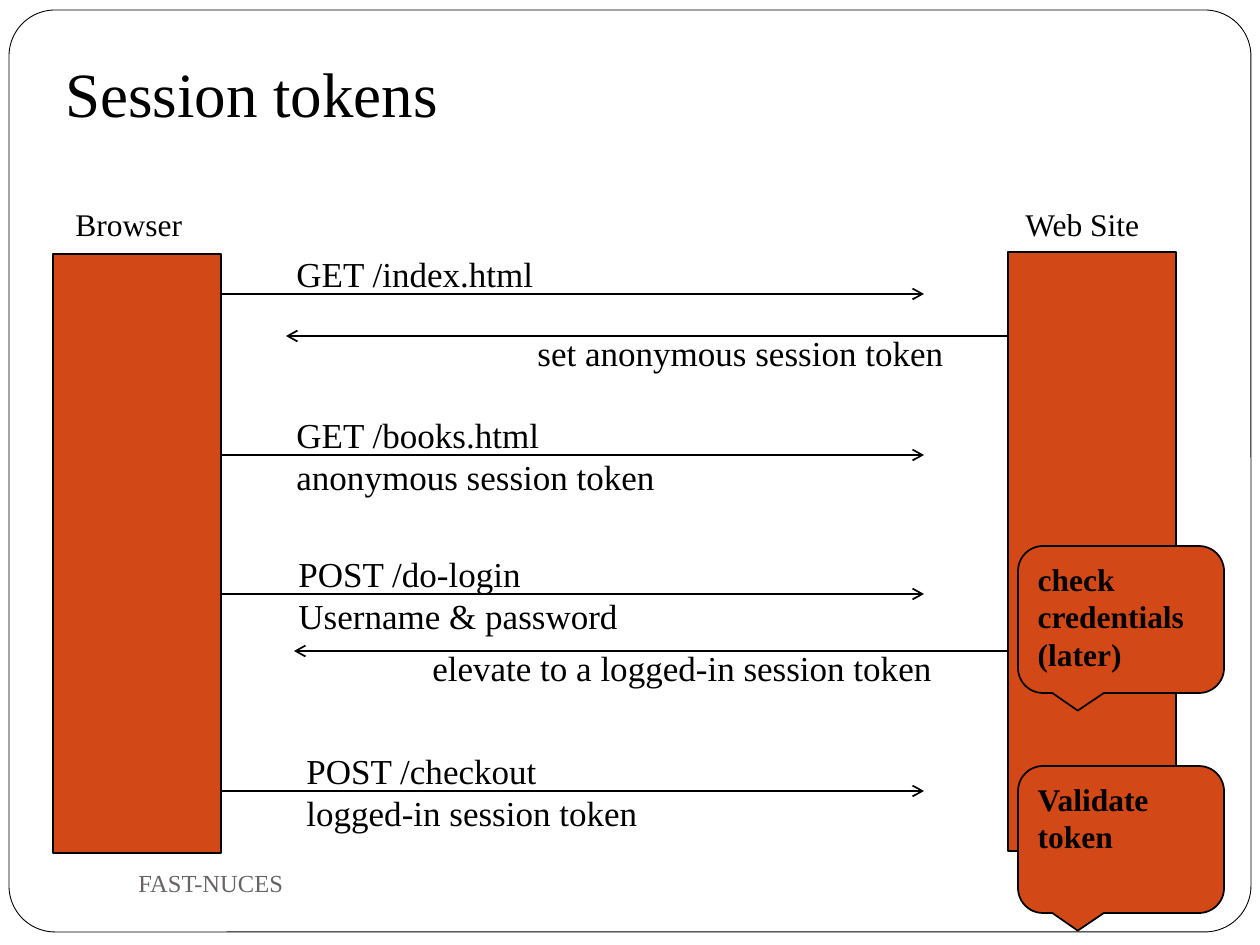
from dataclasses import dataclass

from lxml import etree
from pptx import Presentation
from pptx.dml.color import RGBColor
from pptx.enum.shapes import MSO_CONNECTOR, MSO_SHAPE
from pptx.enum.text import MSO_ANCHOR, MSO_AUTO_SIZE, PP_ALIGN
from pptx.oxml.ns import qn
from pptx.util import Emu, Pt

STRAIGHT = MSO_CONNECTOR.STRAIGHT
RECT = MSO_SHAPE.RECTANGLE
ROUND_RECT = MSO_SHAPE.ROUNDED_RECTANGLE
CALLOUT = MSO_SHAPE.ROUNDED_RECTANGULAR_CALLOUT
TOP, MIDDLE, BOTTOM = MSO_ANCHOR.TOP, MSO_ANCHOR.MIDDLE, MSO_ANCHOR.BOTTOM
LEFT = PP_ALIGN.LEFT
GROW = MSO_AUTO_SIZE.SHAPE_TO_FIT_TEXT


@dataclass(frozen=True)
class Theme:
    font: str = "Times New Roman"
    ink: RGBColor = RGBColor(0, 0, 0)
    paper: RGBColor = RGBColor(255, 255, 255)
    accent: RGBColor = RGBColor(0xD3, 0x48, 0x17)
    muted: RGBColor = RGBColor(0x69, 0x64, 0x64)
    title: int = 36
    message: int = 20
    label: int = 18
    footer: int = 14
    frame_line: float = 0.5
    line: float = 1


THEME = Theme()
BROWSER_RIGHT, SITE_LEFT, REQUEST_END = 221, 1008, 924
REQUEST_RISE, REPLY_RISE = 48, 11
LINE_HEIGHT, BOX_PADDING = 42, 13

REQUESTS = [
    (294, 284, 265, ["GET /index.html"]),
    (455, 284, 386, ["GET /books.html", "anonymous session token"]),
    (594, 286, 347, ["POST /do-login", "Username & password"]),
    (791, 294, 359, ["POST /checkout", "logged-in session token"]),
]
REPLIES = [
    (336, 286, 525, 435, ["set anonymous session token"]),
    (651, 294, 420, 528, ["elevate to a logged-in session token"]),
]
PARTIES = [
    ("Browser", 63, 134, 53, 254),
    ("Web Site", 1013, 140, SITE_LEFT, 252),
]
CHECKS = [
    (546, ["check \vcredentials", "(later)"]),
    (766, ["Validate", "token"]),
]


def px(n):
    return Emu(round(n * 914400 / 126))


def box(*lengths):
    return [px(n) for n in lengths]


def set_text(sp, lines, size, color=THEME.ink, bold=False, **frame):
    tf = sp.text_frame
    for name, value in frame.items():
        setattr(tf, name, value)
    tf.text = "\n".join(lines)
    font = {"name": THEME.font, "size": Pt(size), "bold": bold}
    for p in tf.paragraphs:
        p.alignment = LEFT
        for r in p.runs:
            for name, value in font.items():
                setattr(r.font, name, value)
            r.font.color.rgb = color


def add_text(s, at, lines, size, **style):
    set_text(s.shapes.add_textbox(*box(*at)), lines, size, **style)


def add_block(s, kind, at, fill=THEME.accent, width=THEME.line, adjust=()):
    sp = s.shapes.add_shape(kind, *box(*at))
    sp.shadow.inherit = False
    sp.fill.solid()
    sp.fill.fore_color.rgb = fill
    sp.line.color.rgb = THEME.ink
    sp.line.width = Pt(width)
    for i, value in enumerate(adjust):
        sp.adjustments[i] = value
    return sp


def add_arrow(s, start, end, y):
    c = s.shapes.add_connector(STRAIGHT, *box(start, y, end, y))
    c.line.color.rgb = THEME.ink
    c.line.width = Pt(THEME.line)
    etree.SubElement(c.line._get_or_add_ln(), qn("a:tailEnd"), type="arrow")
    etree.SubElement(c._element.spPr, qn("a:effectLst"))


def add_message(s, start, end, y, rise, left, width, lines):
    add_arrow(s, start, end, y)
    at = (left, y - rise, width, BOX_PADDING + LINE_HEIGHT * len(lines))
    add_text(s, at, lines, THEME.message, word_wrap=False, auto_size=GROW)


def add_party(s, name, label_left, label_width, left, top):
    add_block(s, RECT, (left, top, 168, 599))
    add_text(s, (label_left, 199, label_width, 51), [name], THEME.label,
             word_wrap=False, auto_size=GROW)


def add_check(s, top, lines):
    sp = add_block(s, CALLOUT, (1018, top, 206, 147), adjust=(-0.21, 0.62, 0.17))
    set_text(sp, lines, THEME.label, bold=True, word_wrap=False,
             vertical_anchor=TOP)


def main():
    prs = Presentation()
    prs.slide_width, prs.slide_height = box(1260, 945)
    s = prs.slides.add_slide(prs.slide_layouts[6])
    add_block(s, ROUND_RECT, (9, 10, 1242, 922), THEME.paper,
              THEME.frame_line, (0.05,))
    add_text(s, (53, 42, 1071, 101), ["Session tokens"], THEME.title,
             word_wrap=True, vertical_anchor=BOTTOM, margin_bottom=px(13))
    for party in PARTIES:
        add_party(s, *party)
    for y, left, width, lines in REQUESTS:
        add_message(s, BROWSER_RIGHT, REQUEST_END, y, REQUEST_RISE,
                    left, width, lines)
    for y, end, left, width, lines in REPLIES:
        add_message(s, SITE_LEFT, end, y, REPLY_RISE, left, width, lines)
    for check in CHECKS:
        add_check(s, *check)
    add_text(s, (126, 851, 546, 63), ["FAST-NUCES"], THEME.footer,
             color=THEME.muted, word_wrap=True, vertical_anchor=MIDDLE)
    prs.save("out.pptx")


if __name__ == "__main__":
    main()
